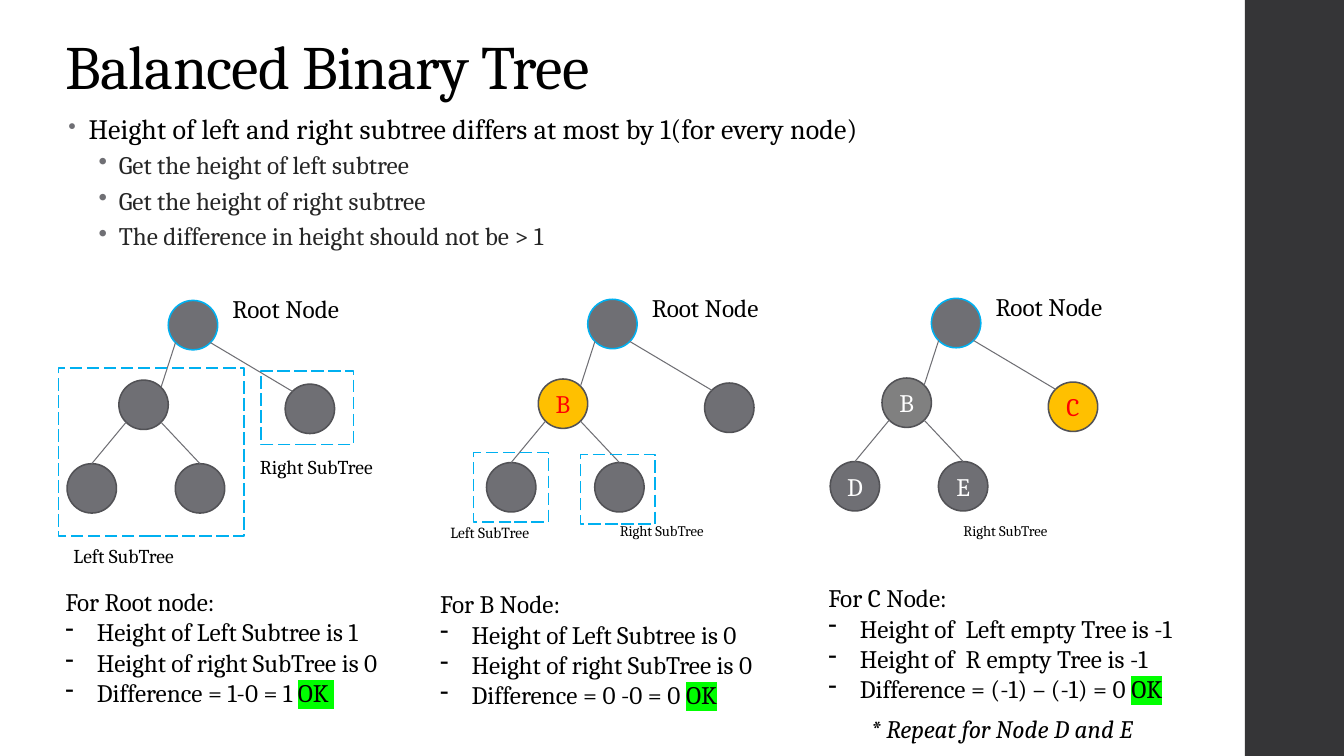
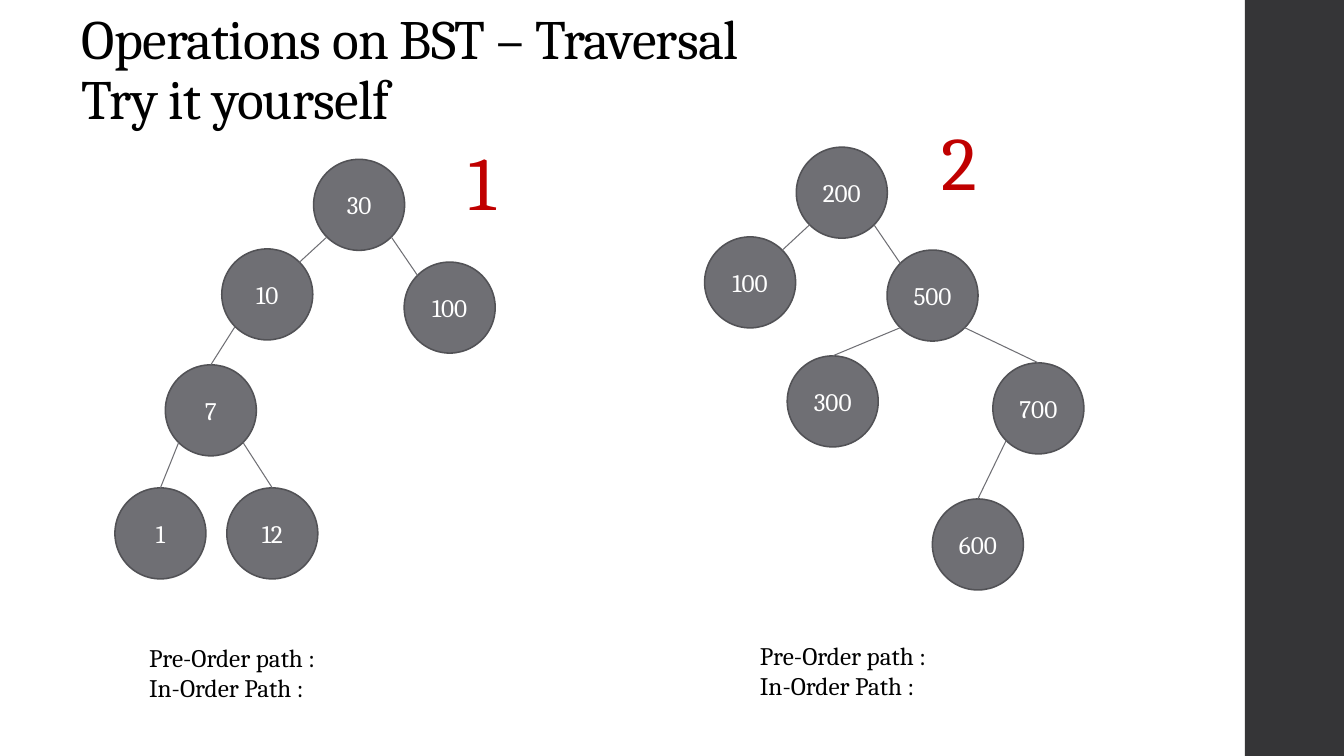
"""Builds two slides about balanced binary trees and tree traversal."""
from math import sqrt

from lxml import etree
from pptx import Presentation
from pptx import util as u
from pptx.dml.color import RGBColor
from pptx.enum import dml, shapes, text
from pptx.oxml.ns import qn

FONT = "Cambria"
BLACK = RGBColor(0x00, 0x00, 0x00)
WHITE = RGBColor(0xFF, 0xFF, 0xFF)
BAND = RGBColor(0x35, 0x35, 0x37)
GREY = RGBColor(0x6F, 0x6F, 0x74)
MID_GREY = RGBColor(0x80, 0x80, 0x80)
OUTLINE = RGBColor(0x52, 0x52, 0x56)
DARK_TEXT = RGBColor(0x26, 0x26, 0x26)
CYAN = RGBColor(0x00, 0xB0, 0xF0)
AMBER = RGBColor(0xFF, 0xC0, 0x00)
RED = RGBColor(0xFF, 0x00, 0x00)
DARK_RED = RGBColor(0xC0, 0x00, 0x00)
GREEN = RGBColor(0x00, 0xFF, 0x00)

SMALL_NODE = 35.3
LARGE_NODE = 65
SMALL_TREE = [(0, 0, None), (-35.3, 56.9, 0), (83.5, 59.8, 0), (-72.3, 116.6, 1), (5, 116.6, 1)]
SMALL_TREES = [
    (120.2, 214.6, ["", "", "", "", ""], {}),
    (419.8, 213.8, ["", "B", "", "", ""], {1: (AMBER, RED)}),
    (665.3, 213.1, ["", "B", "C", "D", "E"], {1: (MID_GREY, WHITE), 2: (AMBER, RED)}),
]
SUBTREE_FRAMES = [
    (41.8, 262.8, 132.5, 120.2),
    (186.5, 265, 66.2, 52.6),
    (338.4, 323.3, 53.3, 49.7),
    (414.7, 324.7, 53.3, 49.7),
]
SUBTREE_LABELS = [
    ("Left SubTree", 45.4, 385.2, 14),
    ("Right SubTree", 178.6, 321.1, 14),
    ("Left SubTree", 314.6, 370.1, 11),
    ("Right SubTree", 435.6, 369.4, 10.5),
    ("Right SubTree", 681.1, 369.4, 10.5),
]
CHECKS = [
    (39.6, 415.4, 285, "For Root node:", ["Height of Left Subtree is 1",
     "Height of right SubTree is 0", "Difference = 1-0 = 1 "], "OK "),
    (307.4, 416.9, 285, "For B Node:", ["Height of Left Subtree is 0",
     "Height of right SubTree is 0", "Difference = 0 -0 = 0 "], "OK"),
    (584.6, 412.6, 306, "For C Node:", ["Height of  Left empty Tree is -1",
     "Height of  R empty Tree is -1", "Difference = (-1) – (-1) = 0 "], "OK"),
]
RULES = [
    "Height of left and right subtree differs at most by 1(for every node)",
    "Get the height of left subtree",
    "Get the height of right subtree",
    "The difference in height should not be > 1",
]
EXERCISES = [
    ("1", (321.8, 92.9), (99.4, 455), [
        (224, 113.8, "30", None), (158.4, 177.8, "10", 0), (288.7, 187.2, "100", 0),
        (118.1, 260.6, "7", 1), (82.1, 348.5, "1", 3), (162, 348.5, "12", 3)]),
    ("2", (663.1, 78.5), (535.7, 453.6), [
        (568.8, 105.1, "200", None), (503.3, 169.2, "100", 0), (633.6, 178.6, "500", 0),
        (562.3, 254.2, "300", 2), (709.2, 259.2, "700", 2), (666, 356.4, "600", 4)]),
]


def points(*lengths):
    """Convert numbers to point lengths."""
    return [u.Pt(length) for length in lengths]


def format_runs(para, size, color=BLACK, spacing=None, italic=None):
    """Give every run of a paragraph the same look."""
    for span in para.runs:
        span.font.name = FONT
        span.font.size = u.Pt(size)
        span.font.color.rgb = color
        span.font.italic = italic
        if spacing is not None:
            span.font._element.set("spc", str(spacing))


def set_bullet(para, char, margin, hang, color=None, percent=None):
    """Give a paragraph a hanging bullet."""
    props = para._p.get_or_add_pPr()
    props.set("marL", str(u.Pt(margin)))
    props.set("indent", str(-u.Pt(hang)))
    if color is not None:
        holder = etree.SubElement(props, qn("a:buClr"))
        etree.SubElement(holder, qn("a:srgbClr"), val=str(color))
    if percent is not None:
        etree.SubElement(props, qn("a:buSzPct"), val=str(percent * 1000))
    etree.SubElement(props, qn("a:buChar"), char=char)


def highlight(span, color):
    """Mark a run with a background colour."""
    mark = etree.Element(qn("a:highlight"))
    etree.SubElement(mark, qn("a:srgbClr"), val=str(color))
    span.font._element.find(qn("a:solidFill")).addnext(mark)


def add_text(page, left, top, width, height, lines, size=18, color=BLACK, italic=None, align=None):
    """Add a wrapping text box with one paragraph per line."""
    box = page.shapes.add_textbox(*points(left, top, width, height))
    box.text_frame.word_wrap = True
    box.text_frame.text = lines
    for para in box.text_frame.paragraphs:
        para.alignment = align
        format_runs(para, size, color, italic=italic)
    return box


def add_box(page, kind, left, top, width, height, fill=None, line=None):
    """Add a flat preset shape."""
    box = page.shapes.add_shape(kind, *points(left, top, width, height))
    box.shadow.inherit = False
    if fill is None:
        box.fill.background()
    else:
        box.fill.solid()
        box.fill.fore_color.rgb = fill
    if line is None:
        box.line.fill.background()
    else:
        box.line.color.rgb = line
        box.line.width = u.Pt(1.1)
    return box


def add_page(deck, title, left, top, size):
    """Add a slide with the side band and a formatted title."""
    page = deck.slides.add_slide(deck.slide_layouts[5])
    add_box(page, shapes.MSO_SHAPE.RECTANGLE, 889.2, 0, 70.8, 540, BAND)
    heading = page.shapes.title
    heading.left, heading.top, heading.width, heading.height = points(left, top, 763.2, 61.9)
    frame = heading.text_frame
    frame.text = title
    frame.word_wrap = True
    frame.auto_size = text.MSO_AUTO_SIZE.NONE
    frame.vertical_anchor = text.MSO_ANCHOR.BOTTOM
    para = frame.paragraphs[0]
    para.alignment = text.PP_ALIGN.LEFT
    para.line_spacing = 0.9
    format_runs(para, size, spacing=-50)
    return page


def add_node(page, left, top, diameter, label):
    """Add a tree node with a centred label."""
    node = add_box(page, shapes.MSO_SHAPE.OVAL, left, top, diameter, diameter, GREY, OUTLINE)
    frame = node.text_frame
    frame.margin_left = frame.margin_right = frame.margin_top = frame.margin_bottom = 0
    frame.vertical_anchor = text.MSO_ANCHOR.MIDDLE
    frame.text = label
    frame.paragraphs[0].alignment = text.PP_ALIGN.CENTER
    format_runs(frame.paragraphs[0], 18, WHITE)
    return node


def add_edge(page, parent, child, to_top):
    """Join a parent's lower corner to the child's top or facing upper corner."""
    size = parent.width
    near = int(size * (1 - sqrt(0.5)) / 2)
    far = size - near
    start, end = (near, far) if child.left < parent.left else (far, near)
    edge = page.shapes.add_connector(
        shapes.MSO_CONNECTOR.STRAIGHT, parent.left + start, parent.top + far,
        child.left + end, child.top + near)
    if to_top:
        edge.end_connect(child, 0)
    edge.line.color.rgb = GREY
    edge.line.width = u.Pt(0.75)
    etree.SubElement(edge._element.spPr, qn("a:effectLst"))


def add_tree(page, diameter, nodes):
    """Draw nodes given as left, top, label and parent index, and their edges."""
    circles = []
    for left, top, label, parent in nodes:
        circles.append(add_node(page, left, top, diameter, label))
        if parent is not None:
            add_edge(page, circles[parent], circles[-1], to_top=parent > 0)
    return circles


def add_small_tree(page, left, top, labels, accents):
    """Draw a five-node tree with a named root and accented nodes."""
    circles = add_tree(page, SMALL_NODE, [
        (left + dx, top + dy, label, parent)
        for (dx, dy, parent), label in zip(SMALL_TREE, labels)])
    circles[0].line.color.rgb = CYAN
    for index, (fill, color) in accents.items():
        circles[index].fill.fore_color.rgb = fill
        format_runs(circles[index].text_frame.paragraphs[0], 18, color)
    add_text(page, left + 38.7, top - 8.3, 101.5, 28.8, "Root Node")


def add_rules(page):
    """Add the definition with its three steps."""
    box = add_text(page, 41.8, 77.8, 676.8, 175, "\n".join(RULES), 18, DARK_TEXT)
    first, *steps = box.text_frame.paragraphs
    first.line_spacing = 0.95
    first.space_before, first.space_after = points(14, 2)
    format_runs(first, 20, spacing=10)
    set_bullet(first, "•", 14.4, 14.4, GREY, 80)
    for para in steps:
        para.level = 1
        para.line_spacing = 0.9
        para.space_before = para.space_after = u.Pt(3)
        set_bullet(para, "•", 36, 14.4, GREY)


def add_check(page, left, top, width, heading, facts, verdict):
    """Add a height check that ends in a highlighted verdict."""
    box = add_text(page, left, top, width, 94.3, "\n".join([heading, *facts]))
    items = box.text_frame.paragraphs[1:]
    for para in items:
        set_bullet(para, "-", 22.5, 22.5)
    span = items[-1].add_run()
    span.text = verdict
    format_runs(items[-1], 18)
    highlight(span, GREEN)


def build_balance_page(deck):
    """Build the slide on balanced trees."""
    page = add_page(deck, "Balanced Binary Tree", 39.6, 15.1, 44)
    add_rules(page)
    for tree in SMALL_TREES:
        add_small_tree(page, *tree)
    for frame in SUBTREE_FRAMES:
        box = add_box(page, shapes.MSO_SHAPE.RECTANGLE, *frame, line=CYAN)
        box.line.dash_style = dml.MSO_LINE.LONG_DASH
    for label, left, top, size in SUBTREE_LABELS:
        add_text(page, left, top, 8 * size, 24, label, size)
    for check in CHECKS:
        add_check(page, *check)
    add_text(page, 614.9, 506.2, 238.3, 28.8, "* Repeat for Node D and E", italic=True)


def build_traversal_page(deck):
    """Build the slide with two traversal exercises."""
    page = add_page(deck, "Operations on BST – Traversal\vTry it yourself", 51.1, 35.3, 39.6)
    for number, number_at, paths_at, nodes in EXERCISES:
        add_tree(page, LARGE_NODE, nodes)
        add_text(page, *number_at, 44.6, 72.7, number, 54, DARK_RED, align=text.PP_ALIGN.CENTER)
        add_text(page, *paths_at, 210, 51.1, "Pre-Order path :\nIn-Order Path :")


def main():
    """Build and save the deck."""
    deck = Presentation()
    deck.slide_width, deck.slide_height = points(960, 540)
    build_balance_page(deck)
    build_traversal_page(deck)
    deck.save("out.pptx")


if __name__ == "__main__":
    main()
